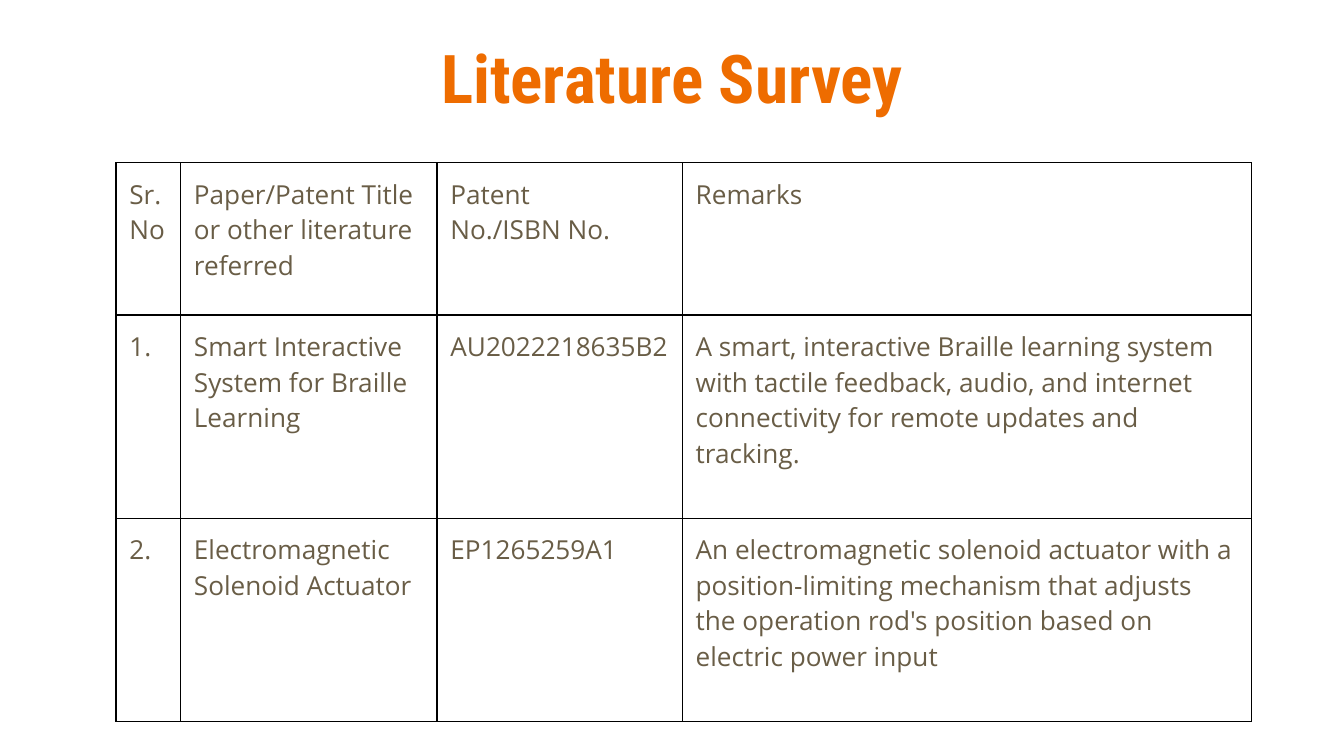
from typing import NamedTuple

import pptx
import pptx.dml.color
import pptx.enum.text
import pptx.oxml
import pptx.oxml.ns
import pptx.util

Pt = pptx.util.Pt

ORANGE = "EE6C00"
BROWN = "695D46"
BLACK = "000000"
BORDER_WIDTH = 0.75
CELL_MARGIN = 7.2
COLUMN_WIDTHS = (34.6, 137.4, 131.4, 305)
ROW_HEIGHTS = (81.7, 108.9, 108.9)


class Entry(NamedTuple):
    number: str
    title: str
    patent: str
    remarks: str


class Style(NamedTuple):
    font: str
    size: float
    color: str
    bold: bool = False


TITLE_STYLE = Style("Roboto Condensed", 36, ORANGE, True)
CELL_STYLE = Style("Open Sans", 14, BROWN)

ENTRIES = (
    Entry("Sr. No", "Paper/Patent Title or other literature\nreferred",
          "Patent\nNo./ISBN No.", "Remarks"),
    Entry("1.", "Smart Interactive System for Braille Learning", "AU2022218635B2",
          "A smart, interactive Braille learning system with tactile feedback, audio, "
          "and internet connectivity for remote updates and tracking."),
    Entry("2.", "Electromagnetic Solenoid Actuator", "EP1265259A1",
          "An electromagnetic solenoid actuator with a position-limiting mechanism that "
          "adjusts the operation rod's position based on electric power input"),
)


def rgb(color: str) -> pptx.dml.color.RGBColor:
    return pptx.dml.color.RGBColor.from_string(color)


def write_text(frame, text: str, style: Style) -> None:
    frame.text = text
    frame.word_wrap = True
    for para in frame.paragraphs:
        for span in para.runs:
            span.font.name = style.font
            span.font.size = Pt(style.size)
            span.font.bold = style.bold
            span.font.color.rgb = rgb(style.color)


def add_borders(cell) -> None:
    properties = cell._tc.get_or_add_tcPr()
    namespace = pptx.oxml.ns.nsdecls("a")
    for position, side in enumerate(("lnL", "lnR", "lnT", "lnB")):
        line = pptx.oxml.parse_xml(
            f'<a:{side} {namespace} w="{int(Pt(BORDER_WIDTH))}"><a:solidFill>'
            f'<a:srgbClr val="{BLACK}"/></a:solidFill></a:{side}>')
        properties.insert(position, line)


def fill_cell(cell, text: str) -> None:
    write_text(cell.text_frame, text, CELL_STYLE)
    cell.margin_left = cell.margin_right = Pt(CELL_MARGIN)
    cell.margin_top = cell.margin_bottom = Pt(CELL_MARGIN)
    cell.fill.background()
    add_borders(cell)


def add_title(page, text: str) -> None:
    box = page.shapes.add_textbox(Pt(0), Pt(19.4), Pt(720), Pt(43.9))
    frame = box.text_frame
    frame.margin_left = frame.margin_right = Pt(0)
    frame.margin_top = frame.margin_bottom = Pt(0)
    write_text(frame, text, TITLE_STYLE)
    frame.paragraphs[0].alignment = pptx.enum.text.PP_ALIGN.CENTER


def add_survey(page, entries: tuple[Entry, ...]) -> None:
    table = page.shapes.add_table(
        len(entries), len(COLUMN_WIDTHS), Pt(62.1), Pt(87.1),
        Pt(sum(COLUMN_WIDTHS)), Pt(sum(ROW_HEIGHTS))).table
    table.first_row = False
    table.horz_banding = False
    for column, width in zip(table.columns, COLUMN_WIDTHS):
        column.width = Pt(width)
    for row, height, entry in zip(table.rows, ROW_HEIGHTS, entries):
        row.height = Pt(height)
        for cell, text in zip(row.cells, entry):
            fill_cell(cell, text)


def main() -> None:
    # Deck and blank page
    deck = pptx.Presentation()
    deck.slide_width, deck.slide_height = Pt(720), Pt(405)
    page = deck.slides.add_slide(deck.slide_layouts[6])

    # Heading and survey table
    add_title(page, "Literature Survey")
    add_survey(page, ENTRIES)
    deck.save("out.pptx")


if __name__ == "__main__":
    main()
